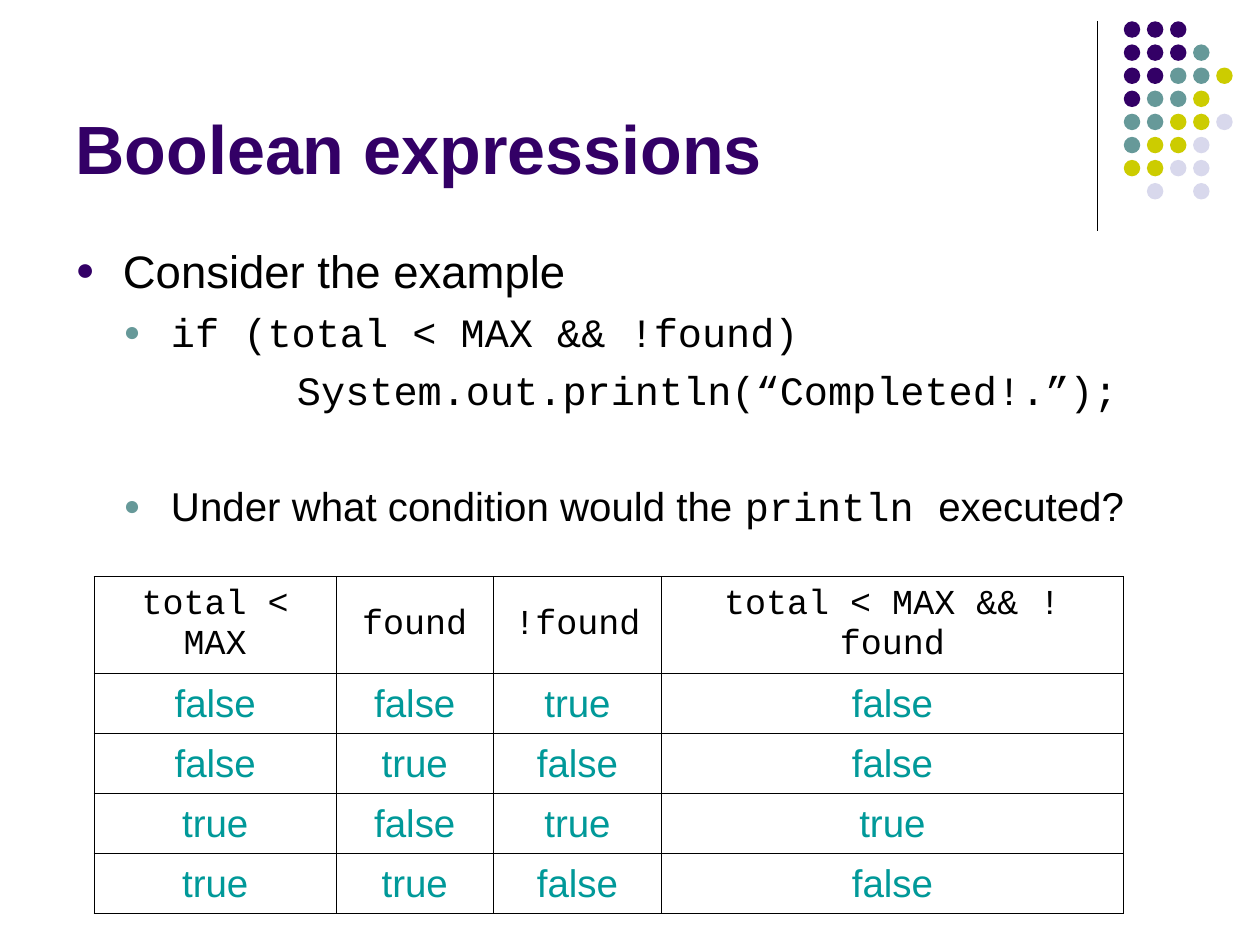
import pptx
import pptx.util
import pptx.dml.color
import pptx.enum.shapes
import pptx.enum.text
import pptx.oxml.ns
from lxml import etree

Pt = pptx.util.Pt
RGB = pptx.dml.color.RGBColor
ALIGN = pptx.enum.text.PP_ALIGN
ANCHOR = pptx.enum.text.MSO_ANCHOR
qn = pptx.oxml.ns.qn

BLACK = RGB(0x00, 0x00, 0x00)
PURPLE = RGB(0x33, 0x00, 0x66)
TEAL = RGB(0x66, 0x99, 0x99)
LIME = RGB(0xCC, 0xCC, 0x00)
PALE = RGB(0xD8, 0xD8, 0xEC)
GREEN = RGB(0x00, 0x99, 0x99)
SANS = "Arial"
MONO = "Courier New"


def write(para, text, size, font=SANS, color=BLACK, bold=False):
    run = para.add_run()
    run.text = text
    run.font.size = Pt(size)
    run.font.name = font
    run.font.color.rgb = color
    run.font.bold = bold


def add_node(parent, tag, **attrs):
    node = etree.SubElement(parent, qn(tag))
    for key, value in attrs.items():
        node.set(key, str(value))
    return node


deck = pptx.Presentation()
deck.slide_width, deck.slide_height = Pt(720), Pt(540)
slide = deck.slides.add_slide(deck.slide_layouts[1])
shapes = slide.shapes

# Corner decoration: a rule and a grid of dots
rule = shapes.add_connector(
    pptx.enum.shapes.MSO_CONNECTOR.STRAIGHT, Pt(627), Pt(12), Pt(627), Pt(132))
rule.line.color.rgb = BLACK
rule.line.width = Pt(0.75)
add_node(rule._element.spPr, "a:effectLst")

hues = {"P": PURPLE, "T": TEAL, "L": LIME, "W": PALE}
grid = ["PPP", "PPPT", "PPTTL", "PTTL", "TTLLW", "TLLW", "LLWW", " W W"]
step = 13.2
group = shapes.add_group_shape()
for row, marks in enumerate(grid):
    for col, mark in enumerate(marks):
        if mark in hues:
            dot = group.shapes.add_shape(
                pptx.enum.shapes.MSO_SHAPE.OVAL,
                Pt(642.2 + col * step), Pt(12.2 + row * step), Pt(9.4), Pt(9.4))
            dot.shadow.inherit = False
            dot.fill.solid()
            dot.fill.fore_color.rgb = hues[mark]
            dot.line.fill.background()

# Title
title = shapes.title
title.left, title.top, title.width, title.height = Pt(36), Pt(9.4), Pt(594), Pt(102)
frame = title.text_frame
frame.auto_size = pptx.enum.text.MSO_AUTO_SIZE.NONE
frame.vertical_anchor = ANCHOR.BOTTOM
para = frame.paragraphs[0]
para.alignment = ALIGN.LEFT
write(para, "Boolean expressions", 39, color=PURPLE, bold=True)

# List: level, left margin, space before, bullet colour, size, runs
items = [
    (0, 27, 6.5, PURPLE, 26, [("Consider the example", SANS)]),
    (1, 54.5, 5.8, TEAL, 23, [("if (total < MAX && !found)", MONO)]),
    (1, 126.5, 5.8, None, 23, [("System.out.println(“Completed!.”);", MONO)]),
    (1, 54.5, 38.7, TEAL, 23, [("Under what condition would the ", SANS),
                               ("println ", MONO), ("executed?", SANS)]),
]
body = slide.placeholders[1]
body.left, body.top, body.width, body.height = Pt(36), Pt(135), Pt(648), Pt(347)
frame = body.text_frame
frame.auto_size = pptx.enum.text.MSO_AUTO_SIZE.NONE
for index, (level, left, space, hue, size, runs) in enumerate(items):
    para = frame.add_paragraph() if index else frame.paragraphs[0]
    para.level = level
    para.space_before = Pt(space)
    props = para._p.get_or_add_pPr()
    props.set("marL", str(Pt(left)))
    props.set("indent", str(Pt(-27 if hue else 0)))
    if hue:
        add_node(add_node(props, "a:buClr"), "a:srgbClr", val=hue)
        add_node(props, "a:buSzPct", val=70000)
        add_node(props, "a:buChar", char="●")
    else:
        add_node(props, "a:buNone")
    for text, font in runs:
        write(para, text, size, font=font)

# Truth table
cells = [
    ["total < MAX", "found", "!found", "total < MAX && !found"],
    ["false", "false", "true", "false"],
    ["false", "true", "false", "false"],
    ["true", "false", "true", "true"],
    ["true", "true", "false", "false"],
]
widths = [138, 90, 96, 264]
heights = [55.4] + [34.3] * 4
table = shapes.add_table(len(heights), len(widths), Pt(54), Pt(329.6),
                         Pt(sum(widths)), Pt(sum(heights))).table
table.first_row = table.horz_banding = False
for col, width in zip(table.columns, widths):
    col.width = Pt(width)
for row, height in zip(table.rows, heights):
    row.height = Pt(height)

for row, texts in enumerate(cells):
    for col, text in enumerate(texts):
        cell = table.cell(row, col)
        cell.vertical_anchor = ANCHOR.MIDDLE
        para = cell.text_frame.paragraphs[0]
        para.alignment = ALIGN.CENTER
        if row:
            para.space_before = Pt(5.5)
            write(para, text, 22, color=GREEN)
        else:
            para.space_before = Pt(5)
            write(para, text, 20, font=MONO)
        props = cell._tc.get_or_add_tcPr()
        for side in "LRTB":
            weight = 1.08 if side == "L" and col == 0 else 0.45
            edge = add_node(props, "a:ln" + side, w=Pt(weight))
            add_node(add_node(edge, "a:solidFill"), "a:srgbClr", val=BLACK)
        cell.fill.background()

deck.save("out.pptx")
